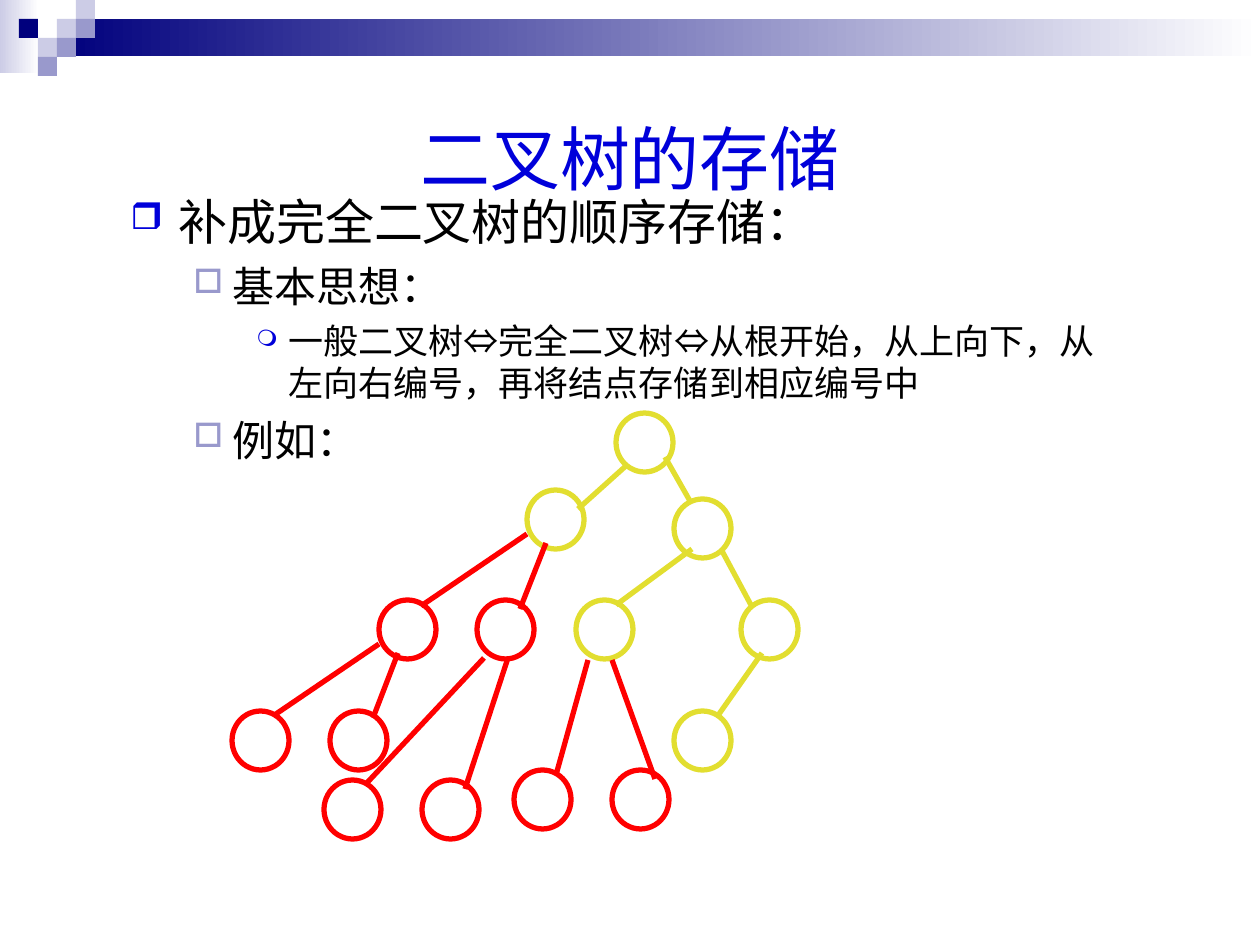
import pptx
import pptx.util
import pptx.dml.color
import pptx.enum.shapes
import pptx.enum.text
import pptx.oxml
import pptx.oxml.ns

SCALE = 914400 / 126
SHAPE = pptx.enum.shapes.MSO_SHAPE
NAVY, LIGHT, MID, BLUE = "00007D", "CCCCE6", "9999CC", "0000DA"
YELLOW, RED, WHITE = "E2DE30", "FF0000", "FFFFFF"
XMLNS = pptx.oxml.ns.nsdecls("a")


def px(*nums):
    """Turn px lengths into a list of EMU."""
    return [pptx.util.Emu(round(n * SCALE)) for n in nums]


def rgb(code):
    return pptx.dml.color.RGBColor.from_string(code)


deck = pptx.Presentation()
deck.slide_width, deck.slide_height = px(1260, 945)
slide = deck.slides.add_slide(deck.slide_layouts[5])
shapes = slide.shapes

# Top band: two fading bars, then the checker cells
for box, start in [((0, 0, 39, 73), LIGHT), ((57, 19, 1203, 37), NAVY)]:
    bar = shapes.add_shape(SHAPE.RECTANGLE, *px(*box))
    bar.shadow.inherit = False
    bar.line.fill.background()
    bar.fill.gradient()
    bar.fill.gradient_angle = 0
    for stop, code, spot in zip(bar.fill.gradient_stops, (start, WHITE), (0, 1)):
        stop.color.rgb = rgb(code)
        stop.position = spot

CELL = 19
for col, row, code in [(3, 1, LIGHT), (4, 0, LIGHT), (4, 1, MID), (2, 2, LIGHT),
                       (1, 1, NAVY), (3, 2, MID), (2, 3, MID)]:
    cell = shapes.add_shape(SHAPE.RECTANGLE, *px(col * CELL, row * CELL, CELL, CELL))
    cell.shadow.inherit = False
    cell.line.fill.background()
    cell.fill.solid()
    cell.fill.fore_color.rgb = rgb(code)

# Title
title = shapes.title
title.left, title.top, title.width, title.height = px(63, 63, 1134, 189)
title.text_frame.vertical_anchor = pptx.enum.text.MSO_ANCHOR.MIDDLE
para = title.text_frame.paragraphs[0]
para.alignment = pptx.enum.text.PP_ALIGN.CENTER
run = para.add_run()
run.text = "二叉树的存储"
run.font.size = pptx.util.Pt(40)
run.font.name = "Comic Neue"
run.font.color.rgb = rgb(BLUE)

# Outline: margin, hang, size, space before, bullet, its colour and percent
LEVELS = [
    (48, 48, 28, 0, "❒", BLUE, 75),
    (102, 39, 24, 6, "□", MID, 80),
    (158, 32, 20, 5, "❍", BLUE, 65),
]
OUTLINE = [
    (0, ["补成完全二叉树的顺序存储："]),
    (1, ["基本思想："]),
    (2, ["一般二叉树", "⇔", "完全二叉树", "⇔",
         "从根开始，从上向下，从左向右编号，再将结点存储到相应编号中"]),
    (1, ["例如："]),
]
frame = shapes.add_textbox(*px(118, 185, 1018, 295)).text_frame
frame.word_wrap = True
for num, (level, parts) in enumerate(OUTLINE):
    margin, hang, size, space, mark, code, pct = LEVELS[level]
    para = frame.add_paragraph() if num else frame.paragraphs[0]
    para.level = level
    props = para._p.get_or_add_pPr()
    left, indent = px(margin, -hang)
    props.set("marL", str(left))
    props.set("indent", str(indent))
    for xml in (f'<a:buClr {XMLNS}><a:srgbClr val="{code}"/></a:buClr>',
                f'<a:buSzPct {XMLNS} val="{pct * 1000}"/>',
                f'<a:buChar {XMLNS} char="{mark}"/>'):
        props.append(pptx.oxml.parse_xml(xml))
    para.space_before = pptx.util.Pt(space)
    for part in parts:
        run = para.add_run()
        run.text = part
        run.font.size = pptx.util.Pt(size)
        run.font.name = "Arial" if part == "⇔" else "Comic Neue"
        run.font.color.rgb = rgb("000000")

# Tree: yellow nodes are the given tree, red sibling pairs fill it up
GIVEN = [(616, 413), (527, 490), (674, 499), (576, 600), (741, 600), (674, 711)]
PAIRS = [(379, 600), (232, 711), (324, 780), (514, 770)]
GAP = 98
ADDED = [(x + step, y) for x, y in PAIRS for step in (0, GAP)]
LINKS = [(627, 465, 578, 509), (692, 549, 616, 605), (665, 457, 690, 501),
         (721, 549, 751, 605), (762, 653, 717, 717)]
FILLS = [(527, 534, 421, 606), (546, 543, 520, 609), (379, 644, 273, 716),
         (398, 653, 373, 718), (484, 658, 365, 785), (508, 658, 465, 789),
         (588, 660, 556, 775), (612, 660, 655, 779)]

for code, nodes, edges in [(YELLOW, GIVEN, LINKS), (RED, ADDED, FILLS)]:
    for x, y in nodes:
        node = shapes.add_shape(SHAPE.OVAL, *px(x, y, 57, 59))
        node.shadow.inherit = False
        node.fill.solid()
        node.fill.fore_color.rgb = rgb(WHITE)
        node.line.color.rgb = rgb(code)
        node.line.width = pptx.util.Pt(3)
    for ends in edges:
        edge = shapes.add_connector(pptx.enum.shapes.MSO_CONNECTOR.STRAIGHT, *px(*ends))
        edge.line.color.rgb = rgb(code)
        edge.line.width = pptx.util.Pt(3)
        edge._element.spPr.append(pptx.oxml.parse_xml(f"<a:effectLst {XMLNS}/>"))

deck.save("out.pptx")
